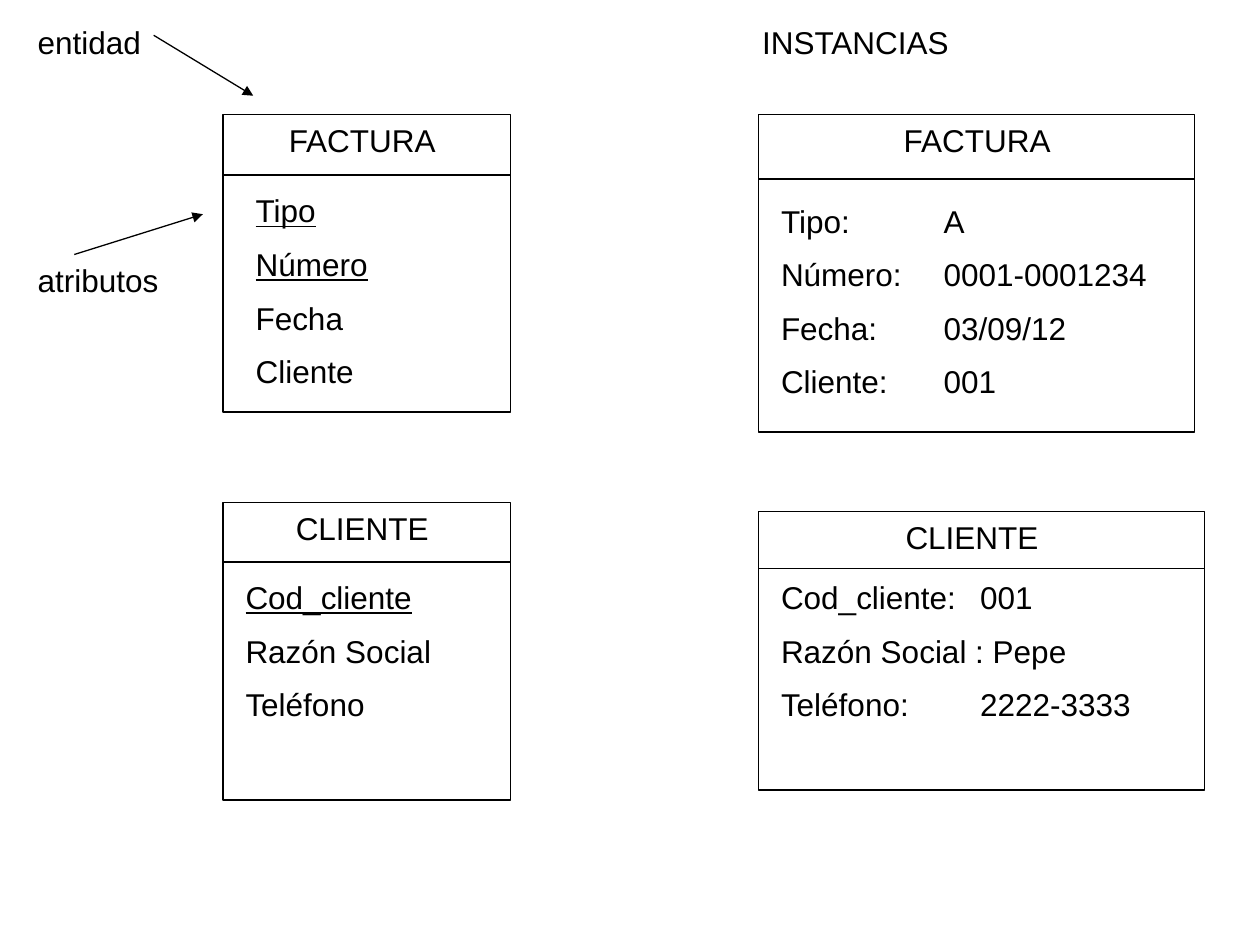
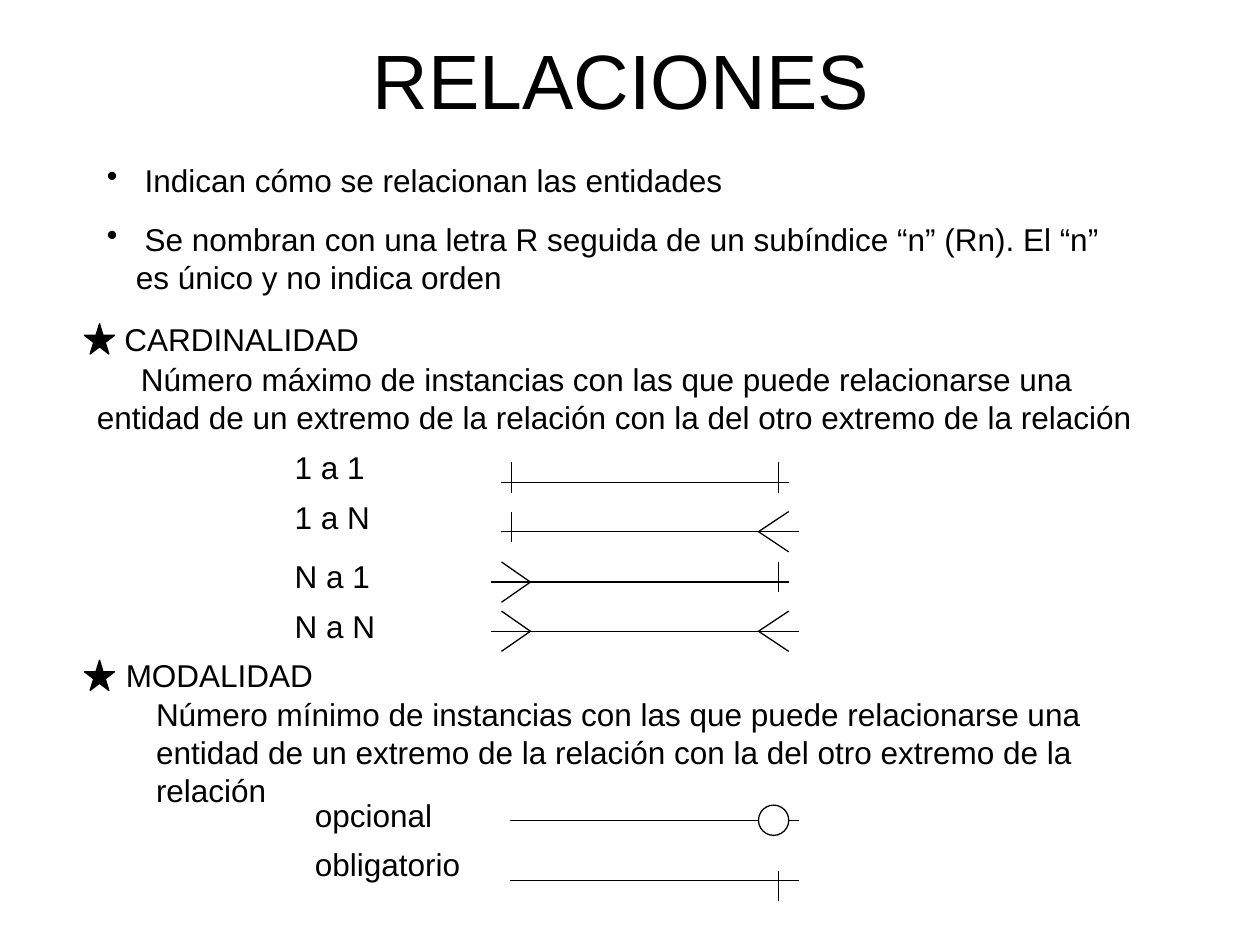
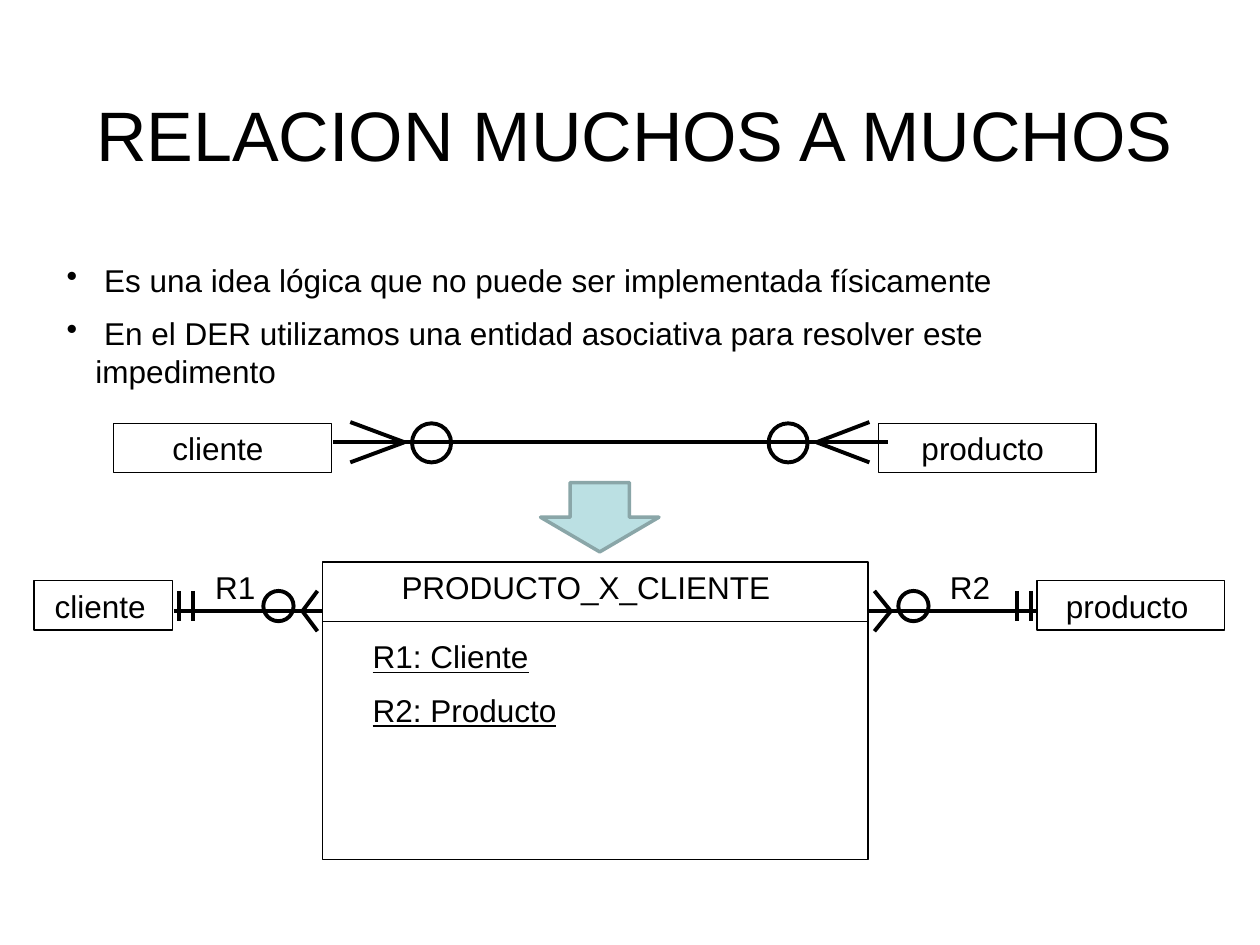
from dataclasses import dataclass
from typing import Optional

from lxml.etree import SubElement
from pptx import Presentation
from pptx.dml.color import RGBColor
from pptx.enum.shapes import MSO_CONNECTOR, MSO_SHAPE
from pptx.enum.text import MSO_ANCHOR, PP_ALIGN
from pptx.oxml.ns import qn
from pptx.shapes.autoshape import Shape
from pptx.slide import Slide
from pptx.util import Inches, Pt

# Shared style
FONT = "Arial"
BLACK = "000000"
WHITE = "FFFFFF"
ARROW_FILL = "BBE0E3"
ARROW_LINE = "8AA6A8"
BODY_SIZE = 18
THIN = 0.75
THICK = 2.25
LABEL_HEIGHT = 0.4
FOOT_SPREAD = 0.16
BULLET_INDENT = 0.23


@dataclass
class Entity:
    """A box with a title, a divider and a list of attributes."""
    left: float
    top: float
    width: float
    height: float
    divider: float
    title: str
    title_left: float
    title_width: float
    list_left: float
    list_top: float
    list_width: float
    attributes: list[str]
    keys: int = 0
    tab: Optional[float] = None


@dataclass
class Label:
    text: str
    left: float
    top: float
    width: float


@dataclass
class Cardinality:
    name: str
    label_top: float
    y: float
    many_left: bool
    many_right: bool


@dataclass
class Box:
    name: str
    left: float
    top: float
    width: float
    text_left: float
    text_width: float


@dataclass
class Link:
    """One-to-many relation: two bars, a circle and a crow's foot."""
    start: float
    end: float
    bars: tuple[float, float]
    circle: float
    apex: float
    tip: float
    tail: float


def color(value: str) -> RGBColor:
    return RGBColor.from_string(value)


# Drawing helpers
def add_text(slide: Slide, texts: list[str], left: float, top: float, width: float,
             height: float = LABEL_HEIGHT, size: float = BODY_SIZE, centered: bool = False,
             underlined: int = 0, bullets: bool = False, first_indent: float = 0,
             tab: Optional[float] = None, wrap: bool = True) -> Shape:
    shape = slide.shapes.add_textbox(Inches(left), Inches(top), Inches(width), Inches(height))
    frame = shape.text_frame
    frame.word_wrap = wrap
    for index, text in enumerate(texts):
        paragraph = frame.add_paragraph() if index else frame.paragraphs[0]
        paragraph.text = text
        paragraph.alignment = PP_ALIGN.CENTER if centered else PP_ALIGN.LEFT
        if index:
            paragraph.space_before = Pt(size / 2)
        properties = paragraph._p.get_or_add_pPr()
        if bullets:
            properties.set("marL", str(Inches(BULLET_INDENT)))
            properties.set("indent", str(-Inches(BULLET_INDENT)))
            SubElement(properties, qn("a:buChar"), char="•")
        elif first_indent:
            properties.set("indent", str(Inches(first_indent)))
        if tab:
            stops = SubElement(properties, qn("a:tabLst"))
            SubElement(stops, qn("a:tab"), pos=str(Inches(tab)), algn="l")
        font = paragraph.font
        font.name = FONT
        font.size = Pt(size)
        font.color.rgb = color(BLACK)
        font.underline = index < underlined
    return shape


def add_line(slide: Slide, x1: float, y1: float, x2: float, y2: float,
             weight: float = THIN, arrow: bool = False) -> None:
    connector = slide.shapes.add_connector(
        MSO_CONNECTOR.STRAIGHT, Inches(x1), Inches(y1), Inches(x2), Inches(y2))
    connector.line.color.rgb = color(BLACK)
    connector.line.width = Pt(weight)
    if arrow:
        SubElement(connector.line._get_or_add_ln(), qn("a:tailEnd"), type="triangle")
    SubElement(connector._element.spPr, qn("a:effectLst"))


def add_figure(slide: Slide, kind: MSO_SHAPE, left: float, top: float, width: float,
               height: float, fill: Optional[str] = None, line: str = BLACK,
               weight: float = THIN) -> None:
    shape = slide.shapes.add_shape(kind, Inches(left), Inches(top), Inches(width), Inches(height))
    shape.shadow.inherit = False
    if fill:
        shape.fill.solid()
        shape.fill.fore_color.rgb = color(fill)
    else:
        shape.fill.background()
    shape.line.color.rgb = color(line)
    shape.line.width = Pt(weight)


def add_circle(slide: Slide, left: float, top: float, size: float,
               fill: Optional[str] = None, weight: float = THIN) -> None:
    add_figure(slide, MSO_SHAPE.FLOWCHART_CONNECTOR, left, top, size, size, fill, weight=weight)


def add_bar(slide: Slide, x: float, y: float, weight: float = THIN, above: float = 0.16) -> None:
    add_line(slide, x, y - above, x, y - above + 0.24, weight)


def add_crow_foot(slide: Slide, apex: float, tip: float, tail: float, y: float,
                  weight: float = THIN) -> None:
    for offset in (FOOT_SPREAD, -FOOT_SPREAD):
        add_line(slide, apex, y, tip, y + offset, weight)
    add_line(slide, apex, y, tail, y, weight)


def add_entity(slide: Slide, entity: Entity) -> None:
    add_figure(slide, MSO_SHAPE.RECTANGLE, entity.left, entity.top, entity.width, entity.height)
    add_line(slide, entity.left, entity.divider, entity.left + entity.width, entity.divider)
    add_text(slide, [entity.title], entity.title_left, entity.top, entity.title_width,
             centered=True)
    add_text(slide, entity.attributes, entity.list_left, entity.list_top, entity.list_width,
             0.43 * len(entity.attributes), underlined=entity.keys, tab=entity.tab)


def add_label(slide: Slide, label: Label, wrap: bool = True) -> None:
    add_text(slide, [label.text], label.left, label.top, label.width, wrap=wrap)


def add_box(slide: Slide, box: Box) -> None:
    add_figure(slide, MSO_SHAPE.RECTANGLE, box.left, box.top, box.width, 0.39)
    add_text(slide, [box.name], box.text_left, box.top, box.text_width, centered=True)


def add_link(slide: Slide, link: Link, y: float) -> None:
    add_line(slide, link.start, y, link.end, y, THICK)
    for x in link.bars:
        add_bar(slide, x, y, THICK)
    add_crow_foot(slide, link.apex, link.tip, link.tail, y, THICK)
    add_circle(slide, link.circle, y - 0.16, 0.24, weight=THICK)


# Slide 1: entities and instances
def build_entities(slide: Slide) -> None:
    entities = [
        Entity(1.77, 0.91, 2.28, 2.36, 1.39, "FACTURA", 1.93, 1.89, 1.93, 1.47, 1.81,
               ["Tipo", "Número", "Fecha", "Cliente"], keys=2),
        Entity(6.02, 0.91, 3.46, 2.52, 1.42, "FACTURA", 6.81, 1.89, 6.1, 1.55, 3.15,
               ["Tipo:\tA", "Número:\t0001-0001234", "Fecha:\t03/09/12", "Cliente:\t001"],
               tab=1.29),
        Entity(1.77, 3.99, 2.28, 2.36, 4.46, "CLIENTE", 1.93, 1.89, 1.85, 4.54, 1.89,
               ["Cod_cliente", "Razón Social", "Teléfono"], keys=1),
        Entity(6.02, 4.06, 3.54, 2.21, 4.51, "CLIENTE", 6.75, 1.93, 6.1, 4.54, 3.38,
               ["Cod_cliente:\t001", "Razón Social : Pepe", "Teléfono:\t2222-3333"],
               tab=1.58),
    ]
    for entity in entities:
        add_entity(slide, entity)
    for label in (Label("entidad", 0.2, 0.13, 2.28), Label("atributos", 0.2, 2.02, 1.5),
                  Label("INSTANCIAS", 5.95, 0.13, 3.39)):
        add_label(slide, label)
    add_line(slide, 1.22, 0.28, 2.01, 0.76, arrow=True)
    add_line(slide, 0.59, 2.02, 1.61, 1.7, arrow=True)


# Slide 2: cardinality and modality
def build_relations(slide: Slide) -> None:
    title = add_text(slide, ["RELACIONES"], 0.43, 0, 9, 1.25, size=44, centered=True)
    title.text_frame.vertical_anchor = MSO_ANCHOR.MIDDLE
    add_text(slide, [" Indican cómo se relacionan las entidades"], 0.75, 1.23, 8.51, bullets=True)
    add_text(slide, [" Se nombran con una letra R seguida de un subíndice “n” (Rn). El “n” "
                     "es único y no indica orden"], 0.75, 1.7, 8.27, 0.7, bullets=True)

    # Headings with stars and definitions
    add_label(slide, Label(" CARDINALIDAD", 0.82, 2.49, 8.11))
    add_label(slide, Label("MODALIDAD", 0.9, 5.16, 5.04))
    for top in (2.57, 5.24):
        add_figure(slide, MSO_SHAPE.STAR_5_POINT, 0.67, top, 0.24, 0.24, BLACK)
    definition = ("Número {} de instancias con las que puede relacionarse una entidad de un "
                  "extremo de la relación con la del otro extremo de la relación")
    add_text(slide, [definition.format("máximo")], 0.67, 2.81, 8.66, 0.71, first_indent=0.35)
    add_text(slide, [definition.format("mínimo")], 1.14, 5.47, 8.03, 1.01)

    # Cardinality rows
    rows = [
        Cardinality("1 a 1", 3.51, 3.83, False, False),
        Cardinality("1 a N", 3.9, 4.22, False, True),
        Cardinality("N a 1", 4.37, 4.62, True, False),
        Cardinality("N a N", 4.77, 5.01, True, True),
    ]
    for row in rows:
        add_label(slide, Label(row.name, 2.24, row.label_top, 1.1))
        add_line(slide, 3.98, row.y, 6.26, row.y)
        if row.many_left:
            add_crow_foot(slide, 4.21, 3.98, 3.9, row.y)
        else:
            add_bar(slide, 4.06, row.y)
        if row.many_right:
            add_crow_foot(slide, 6.02, 6.26, 6.34, row.y)
        else:
            add_bar(slide, 6.18, row.y)

    # Modality rows
    for name, top, y in (("opcional", 6.27, 6.51), ("obligatorio", 6.66, 6.99)):
        add_label(slide, Label(name, 2.4, top, 1.65))
        add_line(slide, 4.05, y, 6.34, y)
    add_circle(slide, 6.02, 6.39, 0.24, WHITE)
    add_bar(slide, 6.18, 6.99, above=0.08)


# Slide 3: many-to-many relation
def build_many_to_many(slide: Slide) -> None:
    add_text(slide, ["RELACION MUCHOS A MUCHOS"], 0.43, 0.68, 9.21, 0.77, size=40, centered=True)
    add_text(slide, [" Es una idea lógica que no puede ser implementada físicamente",
                     " En el DER utilizamos una entidad asociativa para resolver este impedimento"],
             0.43, 2.02, 8.74, 1.16, bullets=True)

    # Direct relation
    direct_y = 3.51
    add_line(slide, 2.78, direct_y, 6.9, direct_y, THICK)
    add_crow_foot(slide, 6.48, 6.9, 7.05, direct_y, THICK)
    add_crow_foot(slide, 3.21, 2.78, 2.64, direct_y, THICK)
    for left in (3.27, 6.1):
        add_circle(slide, left, 3.36, 0.31, weight=THICK)

    # Relations through the associative entity
    for link in (Link(1.38, 2.52, (1.42, 1.53), 2.09, 2.4, 2.52, 2.56),
                 Link(6.93, 8.23, (8.07, 8.18), 7.13, 7.07, 6.94, 6.89)):
        add_link(slide, link, 4.85)
    for box in (Box("cliente", 0.9, 3.36, 1.73, 0.98, 1.5),
                Box("cliente", 0.27, 4.61, 1.1, 0.32, 0.95),
                Box("producto", 6.97, 3.36, 1.73, 7.05, 1.5),
                Box("producto", 8.23, 4.61, 1.49, 8.3, 1.29)):
        add_box(slide, box)
    add_entity(slide, Entity(2.56, 4.46, 4.33, 2.36, 4.93, "PRODUCTO_X_CLIENTE", 2.86, 3.58,
                             2.86, 5.01, 3.88, ["R1: Cliente", "R2: Producto"], keys=2))
    for label in (Label("R1", 1.61, 4.46, 0.52), Label("R2", 7.44, 4.46, 0.52)):
        add_label(slide, label, wrap=False)
    add_figure(slide, MSO_SHAPE.DOWN_ARROW, 4.29, 3.83, 0.94, 0.55, ARROW_FILL, ARROW_LINE, 2)


presentation = Presentation()
presentation.slide_width = Inches(10)
presentation.slide_height = Inches(7.5)
for build in (build_entities, build_relations, build_many_to_many):
    build(presentation.slides.add_slide(presentation.slide_layouts[6]))
presentation.save("out.pptx")
